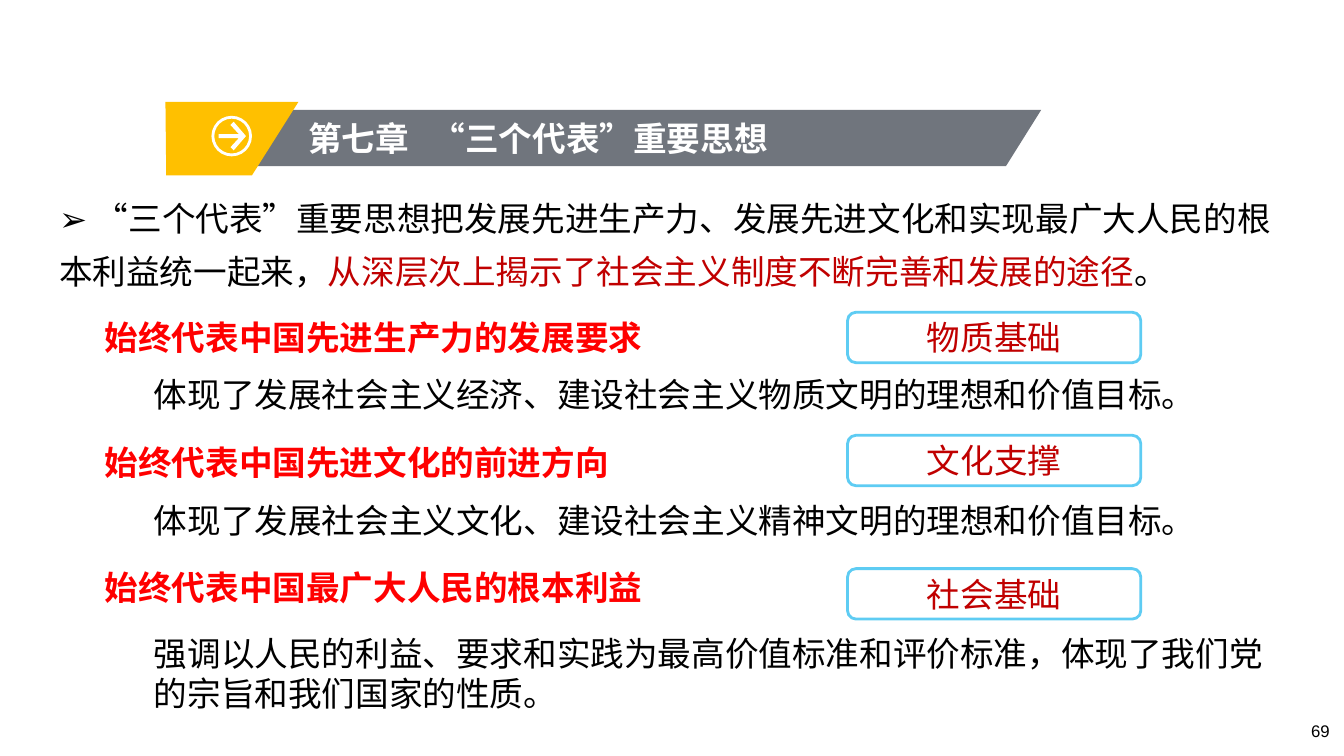
from lxml.etree import SubElement as Sub
from pptx import Presentation
from pptx.dml.color import RGBColor as Color
from pptx.enum.shapes import MSO_SHAPE as Kind
from pptx.enum.text import MSO_ANCHOR as Anchor, PP_ALIGN as Align
from pptx.oxml.ns import qn
from pptx.util import Cm, Pt

title = "第七章\t“三个代表”重要思想"
intro = [
    ("➢ “三个代表”重要思想把发展先进生产力、发展先进文化和实现最广大人民的根本利益统一起来，", "ink"),
    ("从深层次上揭示了社会主义制度不断完善和发展的途径", "deep"),
    ("。", "ink"),
]
points = [
    ("始终代表中国先进生产力的发展要求", "物质基础",
     "体现了发展社会主义经济、建设社会主义物质文明的理想和价值目标。"),
    ("始终代表中国先进文化的前进方向", "文化支撑",
     "体现了发展社会主义文化、建设社会主义精神文明的理想和价值目标。"),
    ("始终代表中国最广大人民的根本利益", "社会基础",
     "强调以人民的利益、要求和实践为最高价值标准和评价标准，体现了我们党的宗旨和我们国家的性质。"),
]
page = "69"

theme = {
    "ink": "000000", "deep": "C00000", "red": "FF0000", "white": "FFFFFF",
    "gray": "70757D", "gold": "FFC000", "sky": "5ECCF3",
    "main": 24, "small": 12, "font": "Noto Sans CJK SC", "plain": "Arial",
}

bar = [(4.37, 2.77), (26.24, 2.77), (25.35, 4.19), (4.37, 4.19)]
flag = [(4.17, 2.57), (7.52, 2.57), (6.35, 4.42), (4.19, 4.42)]
hub = (5.84, 3.43)
ring = 0.95
arrow = [(0.05, 0.36), (-0.03, 0.28), (0.18, 0.05), (-0.33, 0.05), (-0.33, -0.05),
         (0.18, -0.05), (-0.03, -0.28), (0.05, -0.36), (0.36, 0)]
top, step, row = 7.85, 3.15, 1.27
tag_tops = [7.87, 10.97, 14.33]
body_tops = [9.3, 12.47, 15.82]

deck = Presentation()
deck.slide_width, deck.slide_height = Cm(33.87), Cm(19.05)
slide = deck.slides.add_slide(deck.slide_layouts[6])
shapes = slide.shapes


def tint(name):
    return Color.from_string(theme[name])


def write(text, box=None, shape=None, color="ink", size="main", font="font",
          bold=False, align=Align.LEFT, space=None, wrap=True, tab=None):
    if shape is None:
        shape = shapes.add_textbox(*map(Cm, box))
    frame = shape.text_frame
    frame.word_wrap = wrap
    par = frame.paragraphs[0]
    par.alignment = align
    if space:
        par.line_spacing = space
    if tab:
        stops = Sub(par._p.get_or_add_pPr(), qn("a:tabLst"))
        Sub(stops, qn("a:tab"), pos=str(Cm(tab)), algn="l")
    for part, hue in [(text, color)] if isinstance(text, str) else text:
        run = par.add_run()
        run.text = part
        run.font.size = Pt(theme[size])
        run.font.bold = bold
        run.font.color.rgb = tint(hue)
        run.font.name = theme[font]
        Sub(run._r.get_or_add_rPr(), qn("a:ea"), typeface=theme[font])


def paint(shape, fill=None, line=None):
    shape.shadow.inherit = False
    if fill:
        shape.fill.solid()
        shape.fill.fore_color.rgb = tint(fill)
    else:
        shape.fill.background()
    if line:
        shape.line.color.rgb = tint(line)
        shape.line.width = Pt(2)
    else:
        shape.line.fill.background()
    return shape


def draw(dots, fill):
    first, *rest = [(Cm(x), Cm(y)) for x, y in dots]
    pen = shapes.build_freeform(*first)
    pen.add_line_segments(rest, close=True)
    paint(pen.convert_to_shape(), fill)


draw(bar, "gray")
draw(flag, "gold")
write(title, (7.52, 2.84, 12.4, row), color="white", bold=True, wrap=False, tab=3.11)
disc = (hub[0] - ring / 2, hub[1] - ring / 2, ring, ring)
paint(shapes.add_shape(Kind.OVAL, *map(Cm, disc)), line="white")
draw([(hub[0] + x, hub[1] + y) for x, y in arrow], "white")

write(intro, (1.24, 4.57, 31.37, 2.79), space=1.3)
for i, (head, tag, body) in enumerate(points):
    write(head, (2.39, top + i * step, 16.74, row), color="red", bold=True)
    write(body, (3.63, body_tops[i], 28.5, row))
    cell = shapes.add_shape(Kind.FLOWCHART_ALTERNATE_PROCESS,
                            *map(Cm, (21.36, tag_tops[i], 7.39, row)))
    paint(cell, "white", "sky")
    cell.text_frame.vertical_anchor = Anchor.MIDDLE
    write(tag, shape=cell, color="deep", align=Align.CENTER)

write(page, (32.46, 18.03, 1.3, 1.02), size="small", font="plain", align=Align.RIGHT)
deck.save("out.pptx")
